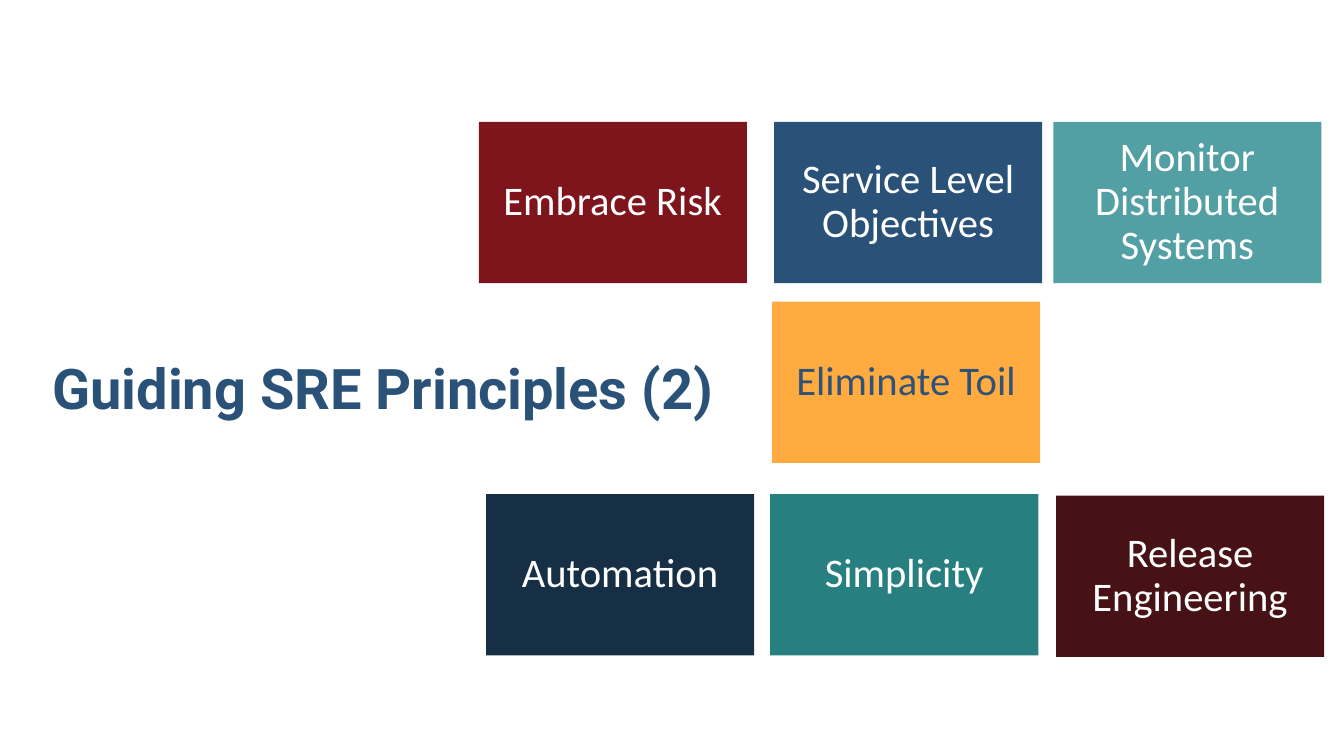
from pptx import Presentation
from pptx.dml.color import RGBColor
from pptx.enum.shapes import MSO_SHAPE as Shape
from pptx.enum.text import MSO_ANCHOR as Anchor, PP_ALIGN as Align
from pptx.util import Pt

WHITE = RGBColor(0xFF, 0xFF, 0xFF)
CRIMSON = RGBColor(0x7E, 0x15, 0x1C)
BLUE = RGBColor(0x2A, 0x52, 0x79)
SLATE = RGBColor(0x2E, 0x52, 0x78)
AQUA = RGBColor(0x53, 0xA0, 0xA4)
ORANGE = RGBColor(0xFF, 0xAB, 0x40)
NAVY = RGBColor(0x17, 0x2F, 0x44)
TEAL = RGBColor(0x28, 0x7F, 0x80)
MAROON = RGBColor(0x46, 0x12, 0x15)

CARD_WIDTH, CARD_HEIGHT = Pt(191.5), Pt(115.2)
CARD_MARGIN = Pt(8.6)


def apply_format(target, values):
    for name, value in values.items():
        setattr(target, name, value)


def write_text(box, text, font_format, color, frame_format, para_format):
    frame = box.text_frame
    apply_format(frame, frame_format)
    para = frame.paragraphs[0]
    apply_format(para, para_format)
    span = para.add_run()
    span.text = text
    apply_format(span.font, font_format)
    span.font.color.rgb = color


deck = Presentation()
deck.slide_width, deck.slide_height = Pt(960), Pt(540)
page = deck.slides.add_slide(deck.slide_layouts[5])
page.background.fill.solid()
page.background.fill.fore_color.rgb = WHITE

title = page.shapes.title
apply_format(title, {"left": Pt(30.2), "top": Pt(254.2), "width": Pt(491), "height": Pt(60.5)})
write_text(
    title, "Guiding SRE Principles (2)",
    {"name": "Roboto", "size": Pt(40), "bold": True}, BLUE,
    {"vertical_anchor": Anchor.TOP, "word_wrap": True},
    {"alignment": Align.LEFT, "line_spacing": 0.9},
)

card_font = {"name": "Calibri", "size": Pt(29)}
card_frame = {"vertical_anchor": Anchor.MIDDLE, "word_wrap": True}
for side in ("left", "top", "right", "bottom"):
    card_frame[f"margin_{side}"] = CARD_MARGIN
card_para = {"alignment": Align.CENTER, "line_spacing": 0.9}

principles = [
    ("Embrace Risk", 342, 87.1, CRIMSON, WHITE),
    ("Service Level Objectives", 553, 87.1, BLUE, WHITE),
    ("Monitor Distributed Systems", 752.4, 87.1, AQUA, WHITE),
    ("Eliminate Toil", 551.5, 215.5, ORANGE, SLATE),
    ("Automation", 347.2, 353, NAVY, WHITE),
    ("Simplicity", 550.2, 353, TEAL, WHITE),
    ("Release Engineering", 754.4, 354, MAROON, WHITE),
]
for text, left, top, fill_color, text_color in principles:
    card = page.shapes.add_shape(Shape.RECTANGLE, Pt(left), Pt(top), CARD_WIDTH, CARD_HEIGHT)
    card.shadow.inherit = False
    card.fill.solid()
    card.fill.fore_color.rgb = fill_color
    card.line.fill.background()
    write_text(card, text, card_font, text_color, card_frame, card_para)

deck.save("out.pptx")
